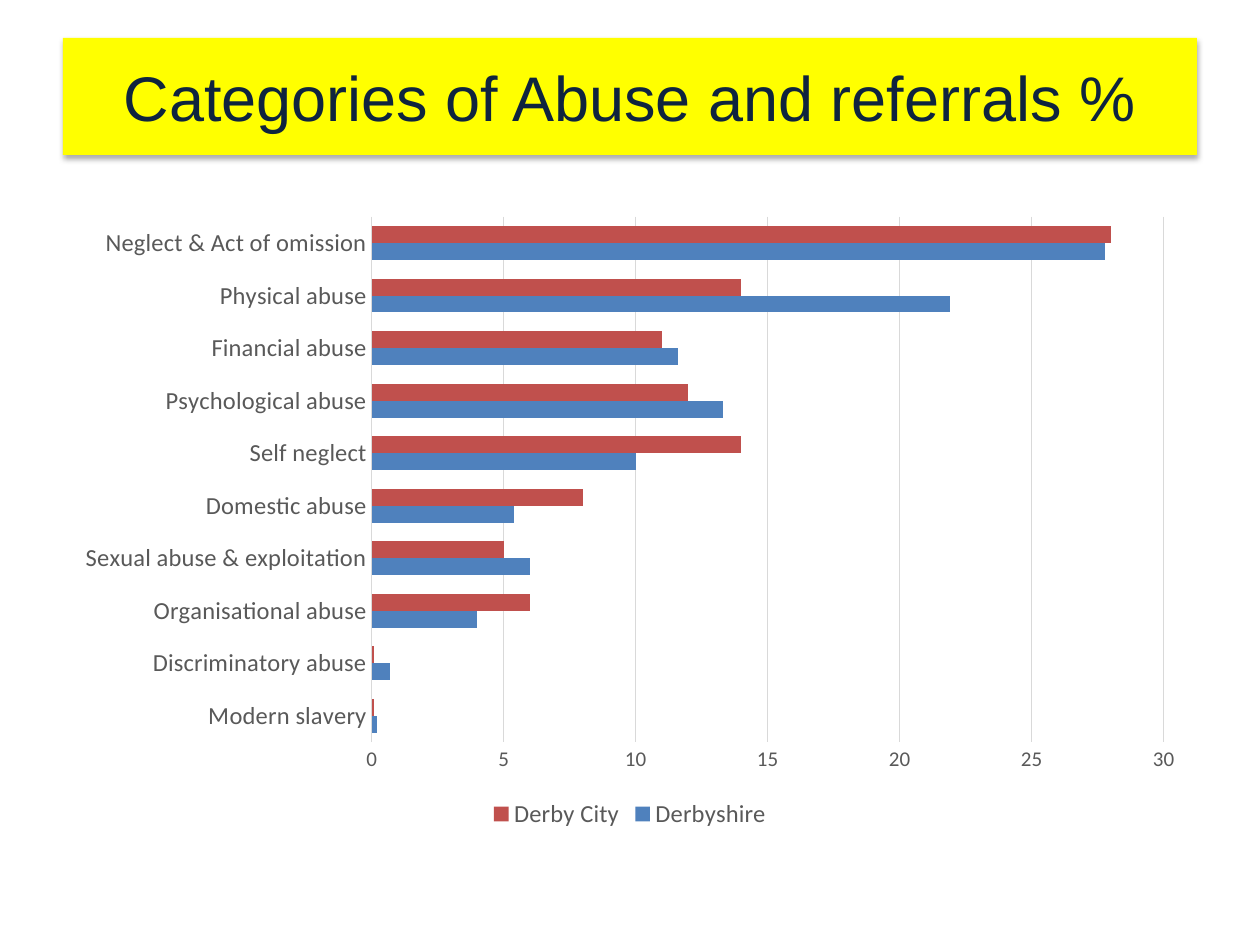
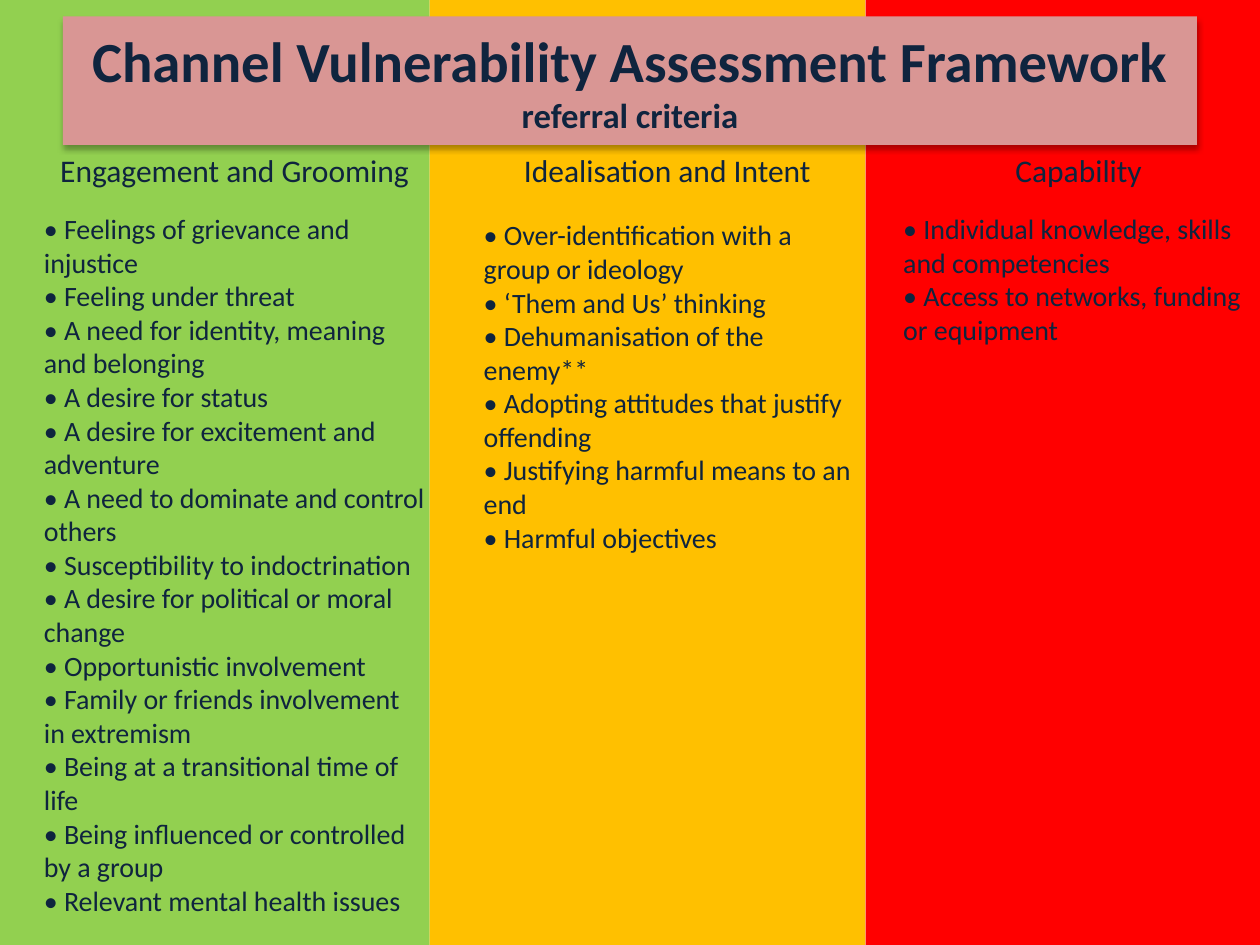
from lxml.etree import SubElement as Sub
from pptx import Presentation
from pptx.chart.data import CategoryChartData as Data
from pptx.dml.color import RGBColor
from pptx.enum.chart import XL_CHART_TYPE as Kind, XL_LEGEND_POSITION as Spot, XL_TICK_MARK as Tick
from pptx.enum.shapes import MSO_SHAPE as Shape
from pptx.enum.text import MSO_ANCHOR as Anchor, MSO_AUTO_SIZE as Fit, PP_ALIGN as Align
from pptx.oxml.ns import qn
from pptx.util import Inches, Pt

NAVY = RGBColor(0x0F, 0x24, 0x3E)
YELLOW = RGBColor(0xFF, 0xFF, 0x00)
ROSE = RGBColor(0xD9, 0x96, 0x94)
GREEN = RGBColor(0x92, 0xD0, 0x50)
AMBER = RGBColor(0xFF, 0xC0, 0x00)
RED = RGBColor(0xFF, 0x00, 0x00)
BLUE = RGBColor(0x4F, 0x81, 0xBD)
BRICK = RGBColor(0xC0, 0x50, 0x4D)
GREY = RGBColor(0x59, 0x59, 0x59)
PALE = RGBColor(0xD9, 0xD9, 0xD9)


def style(font, tint, **fmt):
    font.color.rgb = tint
    for key, value in ({"name": "Calibri"} | fmt).items():
        setattr(font, key, value)


def banner(slide, top, height, fill, parts):
    box = slide.shapes.add_shape(
        Shape.RECTANGLE, Inches(0.5), Inches(top), Inches(9), Inches(height))
    box.fill.solid()
    box.fill.fore_color.rgb = fill
    box.line.fill.background()
    box.shadow.inherit = False
    glow = box._element.spPr.find(qn("a:effectLst"))
    cast = Sub(glow, qn("a:outerShdw"), blurRad=str(Pt(3.5)), dist=str(Pt(2.2)),
               dir="5400000", rotWithShape="0")
    tone = Sub(cast, qn("a:srgbClr"), val="000000")
    Sub(tone, qn("a:alpha"), val="32000")
    frame = box.text_frame
    frame.word_wrap = True
    frame.vertical_anchor = Anchor.MIDDLE
    par = frame.paragraphs[0]
    par.alignment = Align.CENTER
    for text, fmt in parts:
        run = par.add_run()
        run.text = text
        style(run.font, NAVY, **fmt)


deck = Presentation()
deck.slide_width, deck.slide_height = Inches(10), Inches(7.5)
blank = deck.slide_layouts[6]

slide = deck.slides.add_slide(blank)
banner(slide, 0.3, 0.93, YELLOW, [
    ("Categories of Abuse and referrals %", {"name": "Arial", "size": Pt(36)})])

rows = [
    ("Modern slavery", 0.2, 0.1),
    ("Discriminatory abuse", 0.7, 0.1),
    ("Organisational abuse", 4, 6),
    ("Sexual abuse & exploitation", 6, 5),
    ("Domestic abuse", 5.4, 8),
    ("Self neglect", 10, 14),
    ("Psychological abuse", 13.3, 12),
    ("Financial abuse", 11.6, 11),
    ("Physical abuse", 21.9, 14),
    ("Neglect & Act of omission", 27.8, 28),
]
names, shire, city = zip(*rows)
data = Data()
data.categories = names
data.add_series("Derbyshire", shire)
data.add_series("Derby City", city)
chart = slide.shapes.add_chart(
    Kind.BAR_CLUSTERED, Inches(0.5), Inches(1.62), Inches(9), Inches(5), data).chart
chart.has_title = False
style(chart.font, GREY, size=Pt(10))
chart.has_legend = True
chart.legend.position = Spot.BOTTOM
chart.legend.include_in_layout = False
style(chart.legend.font, GREY, size=Pt(14))

plot = chart.plots[0]
plot.gap_width = 110
plot.overlap = 0
plot.vary_by_categories = False
for series, tint in zip(plot.series, (BLUE, BRICK)):
    series.format.fill.solid()
    series.format.fill.fore_color.rgb = tint

cats, vals = chart.category_axis, chart.value_axis
for axis, size in ((cats, 14), (vals, 12)):
    axis.major_tick_mark = axis.minor_tick_mark = Tick.NONE
    style(axis.tick_labels.font, GREY, size=Pt(size))
vals.minimum_scale, vals.maximum_scale, vals.major_unit = 0, 30, 5
vals.has_major_gridlines = True
vals.format.line.fill.background()
for line in (cats.format.line, vals.major_gridlines.format.line):
    line.color.rgb = PALE
    line.width = Pt(0.75)

slide = deck.slides.add_slide(blank)
edges = [0, 3.41, 6.87, 10]
for left, right, fill in zip(edges, edges[1:], (GREEN, AMBER, RED)):
    band = slide.shapes.add_shape(
        Shape.RECTANGLE, Inches(left), 0, Inches(right - left), Inches(7.5))
    band.fill.solid()
    band.fill.fore_color.rgb = fill
    band.line.fill.background()
    band.shadow.inherit = False

banner(slide, 0.13, 1.02, ROSE, [
    ("Channel Vulnerability Assessment Framework ", {"size": Pt(32.4), "bold": True}),
    ("referral criteria", {"size": Pt(19.8), "bold": True})])

heads = [
    ("Engagement and Grooming", 0.38, 3),
    ("Idealisation and Intent", 4.06, 2.51),
    ("Capability", 7.96, 1.22),
]
lists = [
    (0.25, 1.63, 3.23, 6.06, [
        "Feelings of grievance and injustice",
        "Feeling under threat",
        "A need for identity, meaning and belonging",
        "A desire for status",
        "A desire for excitement and adventure",
        "A need to dominate and control others",
        "Susceptibility to indoctrination",
        "A desire for political or moral change",
        "Opportunistic involvement",
        "Family or friends involvement in extremism",
        "Being at a transitional time of life",
        "Being influenced or controlled by a group",
        "Relevant mental health issues",
    ]),
    (3.74, 1.68, 3.15, 2.79, [
        "Over-identification with a group or ideology",
        "‘Them and Us’ thinking",
        "Dehumanisation of the enemy**",
        "Adopting attitudes that justify offending",
        "Justifying harmful means to an end",
        "Harmful objectives",
    ]),
    (7.07, 1.63, 2.99, 1.18, [
        "Individual knowledge, skills and competencies",
        "Access to networks, funding or equipment",
    ]),
]
texts = [(left, top, width, height, 16, True, [f"• {item}" for item in items])
         for left, top, width, height, items in lists]
texts += [(left, 1.15, width, 0.4, 18, False, [head]) for head, left, width in heads]
for left, top, width, height, size, wrap, lines in texts:
    frame = slide.shapes.add_textbox(
        Inches(left), Inches(top), Inches(width), Inches(height)).text_frame
    frame.word_wrap = wrap
    frame.auto_size = Fit.SHAPE_TO_FIT_TEXT
    frame.text = "\n".join(lines)
    for par in frame.paragraphs:
        style(par.runs[0].font, NAVY, size=Pt(size))

deck.save("out.pptx")
